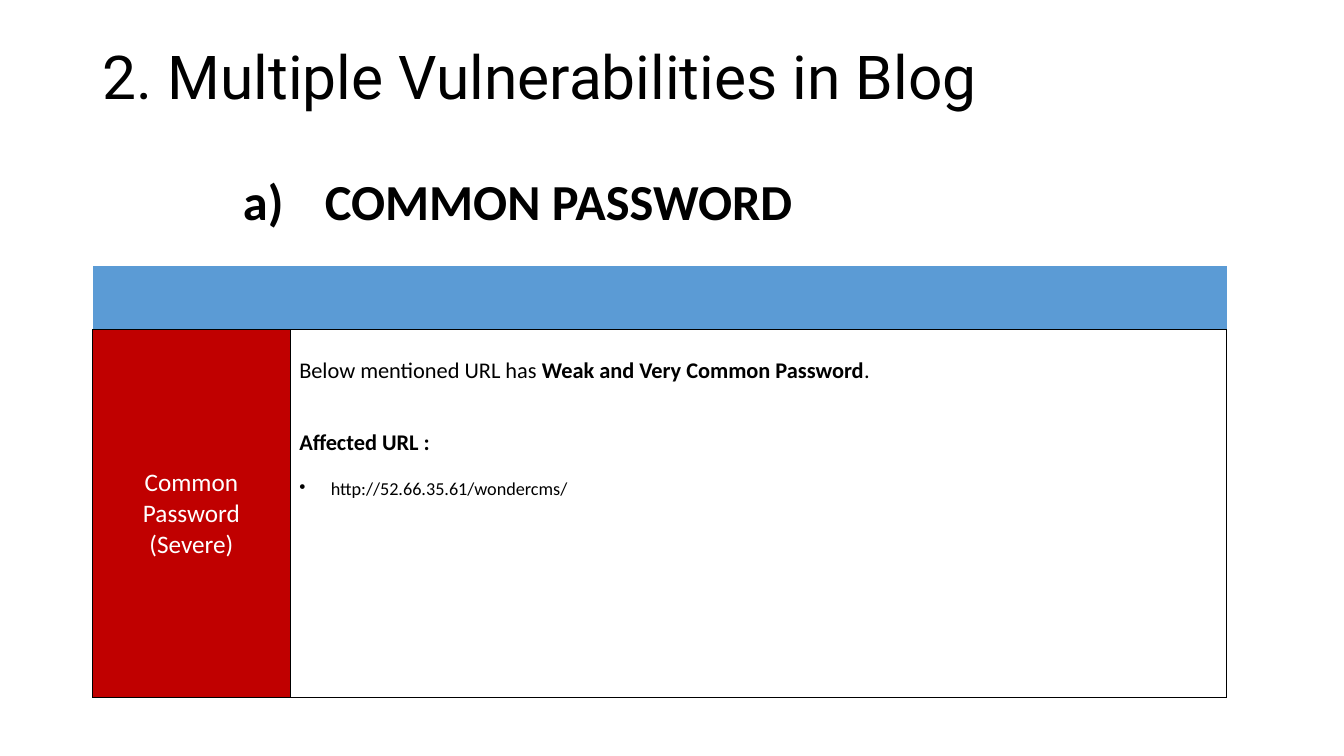
import dataclasses
import typing

import lxml.etree
import pptx
import pptx.dml.color
import pptx.enum.text
import pptx.oxml.ns
import pptx.util

Pt = pptx.util.Pt
Align = pptx.enum.text.PP_ALIGN
Anchor = pptx.enum.text.MSO_ANCHOR

BLACK = "000000"
WHITE = "FFFFFF"
HEADER_BLUE = "5B9BD5"
SEVERE_RED = "C00000"


@dataclasses.dataclass(frozen=True)
class TextRun:
    text: str
    size: float
    bold: bool = False


@dataclasses.dataclass(frozen=True)
class Line:
    runs: tuple[TextRun, ...]
    space_before: float = 0
    bullet: str = ""


@dataclasses.dataclass(frozen=True)
class CellStyle:
    fill: str
    color: str = BLACK
    align: Align = Align.LEFT
    anchor: Anchor = Anchor.TOP
    margin_top: float = 3.6
    borders: tuple[str, ...] = ("L", "R", "T", "B")
    lines: tuple[Line, ...] = ()


ROWS = (
    (CellStyle(HEADER_BLUE, borders=("B",)),) * 2,
    (
        CellStyle(SEVERE_RED, WHITE, Align.CENTER, Anchor.MIDDLE, lines=(
            Line((TextRun("Common Password", 18),)),
            Line((TextRun("(Severe)", 18),)),
        )),
        CellStyle(WHITE, margin_top=19.5, lines=(
            Line((
                TextRun("Below mentioned URL has ", 16),
                TextRun("Weak and Very Common Password", 16, True),
                TextRun(".", 16),
            )),
            Line((TextRun("Affected URL :", 16, True),), 31.7),
            Line((TextRun("http://52.66.35.61/wondercms/", 13),), 15.9, "•"),
        )),
    ),
)


def rgb(color: str) -> pptx.dml.color.RGBColor:
    return pptx.dml.color.RGBColor.from_string(color)


def add_element(parent: typing.Any, tag: str, **attributes: str) -> typing.Any:
    return lxml.etree.SubElement(parent, pptx.oxml.ns.qn(tag), attributes)


def write_text(paragraph: typing.Any, text: str, *, size: float, font: str = "Calibri",
               color: str = BLACK, bold: bool = False) -> None:
    run = paragraph.add_run()
    run.text = text
    run.font.name = font
    run.font.size = Pt(size)
    run.font.bold = bold
    run.font.color.rgb = rgb(color)


def set_bullet(paragraph: typing.Any, tag: str, indent: float, **attributes: str) -> None:
    properties = paragraph._p.get_or_add_pPr()
    properties.set("marL", str(Pt(indent)))
    properties.set("indent", str(-Pt(indent)))
    add_element(properties, tag, **attributes)


def place(shape: typing.Any, left: float, top: float, width: float, height: float) -> None:
    shape.left, shape.top = Pt(left), Pt(top)
    shape.width, shape.height = Pt(width), Pt(height)


def set_borders(cell: typing.Any, sides: tuple[str, ...]) -> None:
    properties = cell._tc.get_or_add_tcPr()
    for side in ("L", "R", "T", "B"):
        border = add_element(properties, f"a:ln{side}", w=str(Pt(1)))
        if side in sides:
            add_element(add_element(border, "a:solidFill"), "a:srgbClr", val=BLACK)
        else:
            add_element(border, "a:noFill")


def draw_cell(cell: typing.Any, style: CellStyle) -> None:
    set_borders(cell, style.borders)
    cell.fill.solid()
    cell.fill.fore_color.rgb = rgb(style.fill)
    cell.vertical_anchor = style.anchor
    cell.margin_left = cell.margin_right = Pt(6.5)
    cell.margin_top, cell.margin_bottom = Pt(style.margin_top), Pt(3.6)
    for index, line in enumerate(style.lines):
        frame = cell.text_frame
        paragraph = frame.add_paragraph() if index else frame.paragraphs[0]
        paragraph.alignment = style.align
        if line.space_before:
            paragraph.space_before = Pt(line.space_before)
        if line.bullet:
            set_bullet(paragraph, "a:buChar", 22.5, char=line.bullet)
        for run in line.runs:
            write_text(paragraph, run.text, size=run.size, bold=run.bold, color=style.color)


def draw_title(title: typing.Any) -> None:
    place(title, 66.2, 28.8, 828, 104.4)
    frame = title.text_frame
    frame.auto_size = pptx.enum.text.MSO_AUTO_SIZE.NONE
    frame.vertical_anchor = Anchor.TOP
    frame.margin_top = Pt(5)
    paragraph = frame.paragraphs[0]
    paragraph.alignment = Align.LEFT
    paragraph.line_spacing = 0.9
    write_text(paragraph, "2. Multiple Vulnerabilities in Blog", size=43.2, font="Roboto")


def draw_subheading(body: typing.Any) -> None:
    place(body, 166.3, 118.1, 480.2, 51.1)
    frame = body.text_frame
    frame.auto_size = pptx.enum.text.MSO_AUTO_SIZE.NONE
    paragraph = frame.paragraphs[0]
    paragraph.space_before = Pt(0)
    set_bullet(paragraph, "a:buFont", 58.5, typeface="+mj-lt")
    add_element(paragraph._p.get_or_add_pPr(), "a:buAutoNum", type="alphaLcParenR")
    write_text(paragraph, "COMMON PASSWORD", size=36, bold=True)


def draw_findings(slide: typing.Any) -> None:
    table = slide.shapes.add_table(2, 2, Pt(66.2), Pt(190.1), Pt(810), Pt(308.2)).table
    table.horz_banding = False
    for column, width in zip(table.columns, (141.1, 668.9)):
        column.width = Pt(width)
    for row, height in zip(table.rows, (45.4, 262.8)):
        row.height = Pt(height)
    for row, styles in zip(table.rows, ROWS):
        for cell, style in zip(row.cells, styles):
            draw_cell(cell, style)


def main() -> None:
    presentation = pptx.Presentation()
    presentation.slide_width, presentation.slide_height = Pt(960), Pt(540)
    slide = presentation.slides.add_slide(presentation.slide_layouts[1])
    draw_title(slide.shapes.title)
    draw_findings(slide)
    draw_subheading(slide.placeholders[1])
    presentation.save("out.pptx")


if __name__ == "__main__":
    main()
